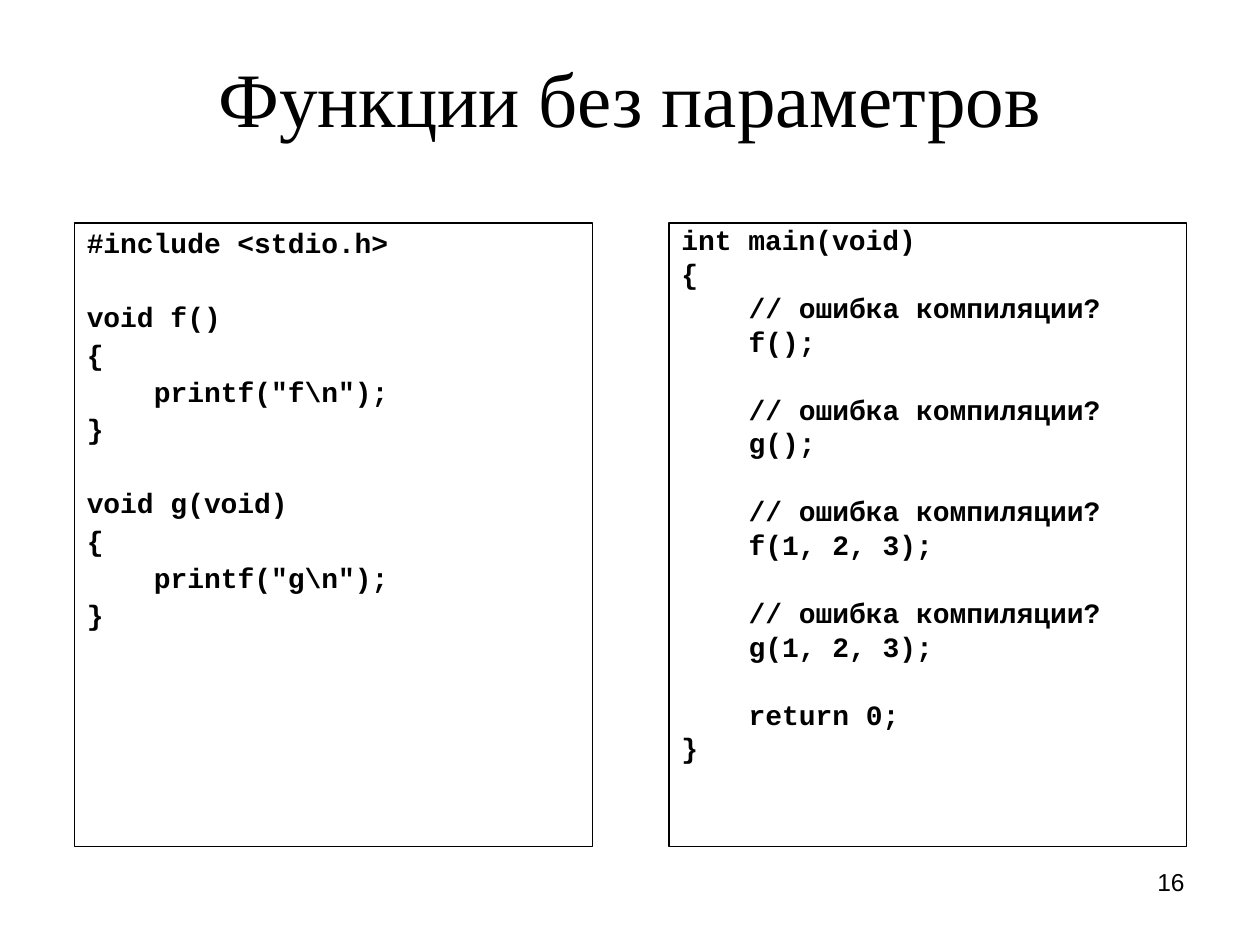
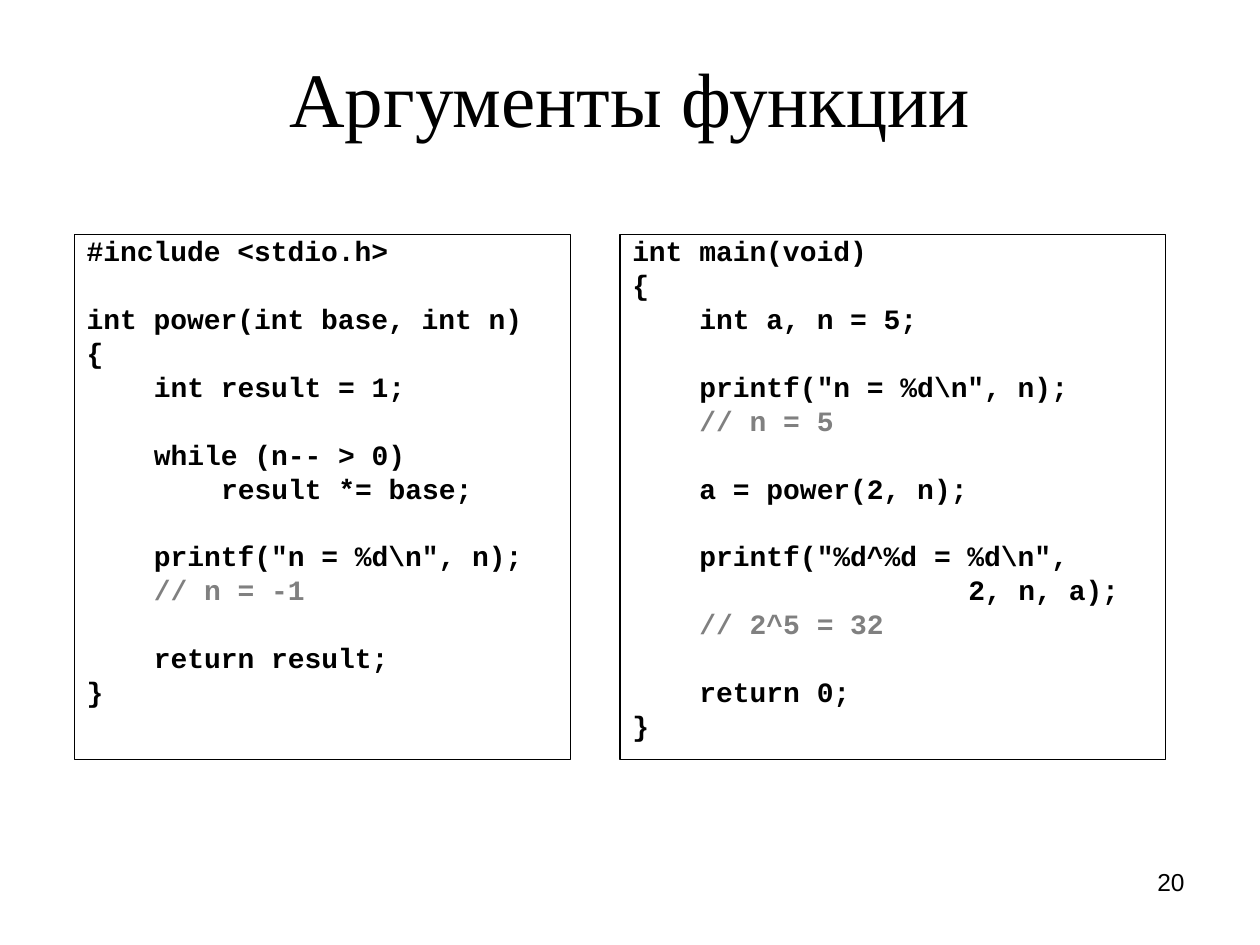
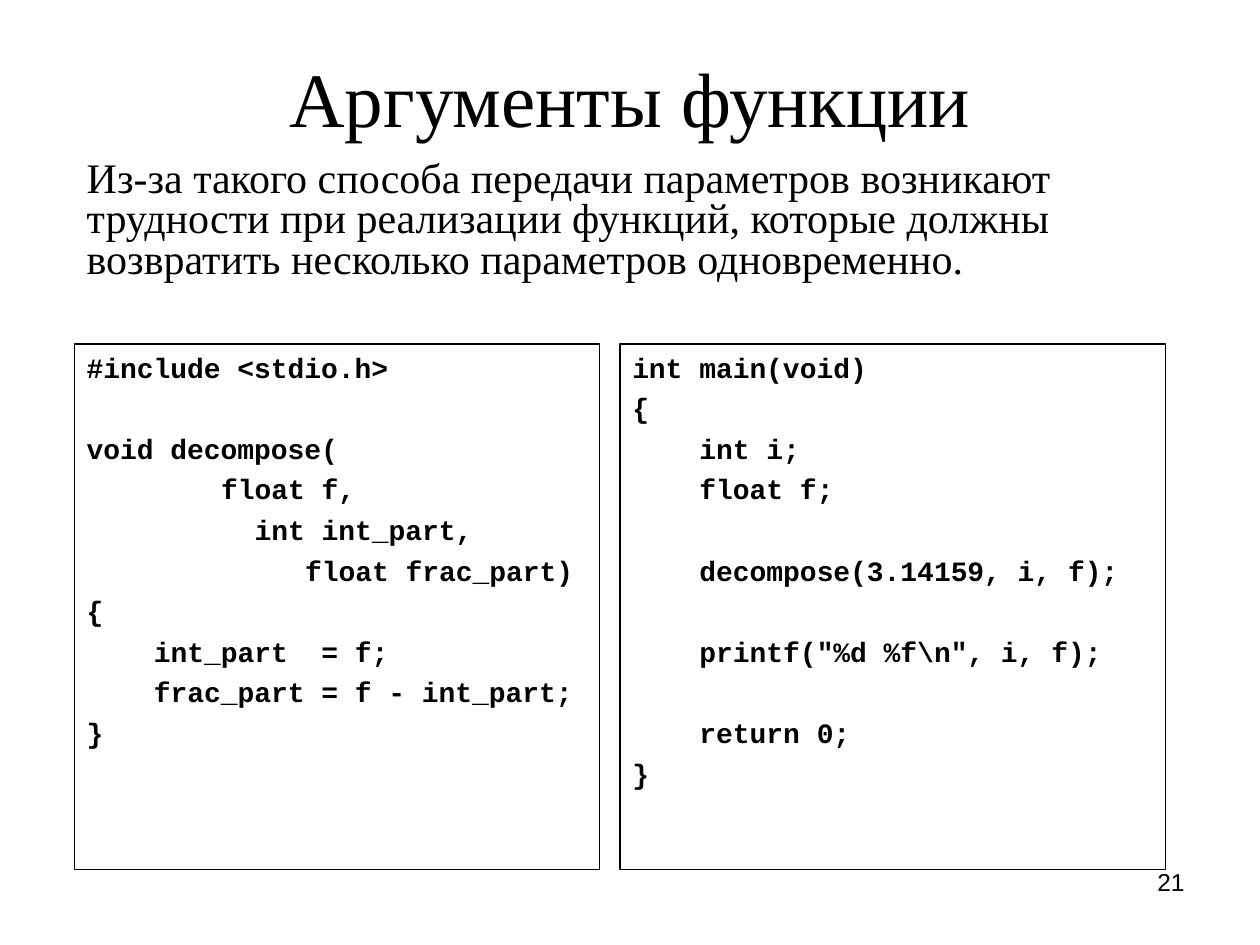
from dataclasses import dataclass

from pptx import Presentation
from pptx.dml.color import RGBColor
from pptx.enum.shapes import MSO_SHAPE
from pptx.enum.text import MSO_ANCHOR, PP_ALIGN
from pptx.util import Inches, Pt

COLORS = {"ink": "000000", "note": "808080", "paper": "FFFFFF"}
FONTS = {
    "title": {"name": "Times New Roman", "size": Pt(44), "bold": False},
    "lead": {"name": "Times New Roman", "size": Pt(24), "bold": False},
    "code": {"name": "Courier New", "size": Pt(16), "bold": True},
    "number": {"name": "Arial", "size": Pt(14), "bold": False},
}
FRAME = {
    "word_wrap": True,
    "margin_left": Inches(0.1),
    "margin_right": Inches(0.1),
    "margin_top": Inches(0.05),
    "margin_bottom": Inches(0.05),
}
LEFT = 0.59
CODE_GAP = 4
CODE_LINE = 19.2
CHAR = 9.6


@dataclass
class Box:
    left: float
    top: float
    width: float
    height: float

    def place(self) -> list:
        return [Inches(n) for n in (self.left, self.top, self.width, self.height)]


@dataclass
class Panel:
    box: Box
    code: str
    spacing: float


@dataclass
class Page:
    number: int
    title: str
    panels: list[Panel]
    note: str = "ink"
    lead: str = ""


TITLE_BOX = Box(0.5, 0.3, 9, 0.93)
LEAD_BOX = Box(LEFT, 1.23, 8.66, 1.1)
NUMBER_BOX = Box(7.17, 6.83, 2.33, 0.52)

PAGES = [
    Page(16, "Функции без параметров", [
        Panel(Box(LEFT, 1.77, 4.11, 4.95), r"""
#include <stdio.h>

void f()
{
    printf("f\n");
}

void g(void)
{
    printf("g\n");
}
""", 0.9),
        Panel(Box(5.31, 1.77, 4.11, 4.95), r"""
int main(void)
{
    // ошибка компиляции?
    f();

    // ошибка компиляции?
    g();

    // ошибка компиляции?
    f(1, 2, 3);

    // ошибка компиляции?
    g(1, 2, 3);

    return 0;
}
""", 0.8),
    ]),
    Page(20, "Аргументы функции", [
        Panel(Box(LEFT, 1.86, 3.94, 4.17), r"""
#include <stdio.h>

int power(int base, int n)
{
    int result = 1;

    while (n-- > 0)
        result *= base;

    printf("n = %d\n", n);
    // n = -1

    return result;
}
""", 0.8),
        Panel(Box(4.92, 1.86, 4.33, 4.17), r"""
int main(void)
{
    int a, n = 5;

    printf("n = %d\n", n);
    // n = 5

    a = power(2, n);

    printf("%d^%d = %d\n",
                    2, n, a);
    // 2^5 = 32

    return 0;
}
""", 0.8),
    ], note="note"),
    Page(21, "Аргументы функции", [
        Panel(Box(LEFT, 2.73, 4.17, 4.17), r"""
#include <stdio.h>

void decompose(
        float f,
          int int_part,
             float frac_part)
{
    int_part  = f;
    frac_part = f - int_part;
}
""", 1.0),
        Panel(Box(4.92, 2.73, 4.33, 4.17), r"""
int main(void)
{
    int i;
    float f;

    decompose(3.14159, i, f);

    printf("%d %f\n", i, f);

    return 0;
}
""", 1.0),
    ], lead="Из-за такого способа передачи параметров возникают трудности "
            "при реализации функций, которые должны возвратить "
            "несколько параметров одновременно."),
]


def apply(target, values: dict) -> None:
    for name, value in values.items():
        setattr(target, name, value)


def rgb(name: str) -> RGBColor:
    return RGBColor.from_string(COLORS[name])


def write(para, text: str, style: str, color: str = "ink", **form) -> None:
    run = para.add_run()
    run.text = text
    apply(run.font, FONTS[style])
    run.font.color.rgb = rgb(color)
    apply(para, form)


def add_text(slide, box: Box, text: str, style: str, anchor=MSO_ANCHOR.TOP, **form) -> None:
    frame = slide.shapes.add_textbox(*box.place()).text_frame
    apply(frame, FRAME | {"vertical_anchor": anchor})
    write(frame.paragraphs[0], text, style, **form)


def add_panel(slide, panel: Panel, note: str) -> None:
    shape = slide.shapes.add_shape(MSO_SHAPE.RECTANGLE, *panel.box.place())
    shape.shadow.inherit = False
    shape.fill.background()
    shape.line.color.rgb = rgb("ink")
    shape.line.width = Pt(0.75)
    frame = shape.text_frame
    apply(frame, FRAME | {"vertical_anchor": MSO_ANCHOR.TOP})
    pitch = CODE_GAP + CODE_LINE * panel.spacing
    para, gap = frame.paragraphs[0], CODE_GAP
    for line in panel.code.strip().splitlines():
        if not line:
            gap += pitch
            continue
        para = para or frame.add_paragraph()
        text = line.lstrip()
        color = note if text.startswith("//") else "ink"
        write(para, text, "code", color, alignment=PP_ALIGN.LEFT,
              line_spacing=panel.spacing, space_before=Pt(gap))
        indent = Pt(CHAR * (len(line) - len(text)))
        para._p.get_or_add_pPr().set("marL", str(indent))
        para, gap = None, CODE_GAP


def add_page(deck, page: Page) -> None:
    slide = deck.slides.add_slide(deck.slide_layouts[6])
    fill = slide.background.fill
    fill.solid()
    fill.fore_color.rgb = rgb("paper")
    add_text(slide, TITLE_BOX, page.title, "title", MSO_ANCHOR.MIDDLE,
             alignment=PP_ALIGN.CENTER)
    for panel in page.panels:
        add_panel(slide, panel, page.note)
    if page.lead:
        add_text(slide, LEAD_BOX, page.lead, "lead", line_spacing=0.8, space_before=Pt(6))
    add_text(slide, NUMBER_BOX, str(page.number), "number", alignment=PP_ALIGN.RIGHT)


def main() -> None:
    deck = Presentation()
    apply(deck, {"slide_width": Inches(10), "slide_height": Inches(7.5)})
    for page in PAGES:
        add_page(deck, page)
    deck.save("out.pptx")


if __name__ == "__main__":
    main()
